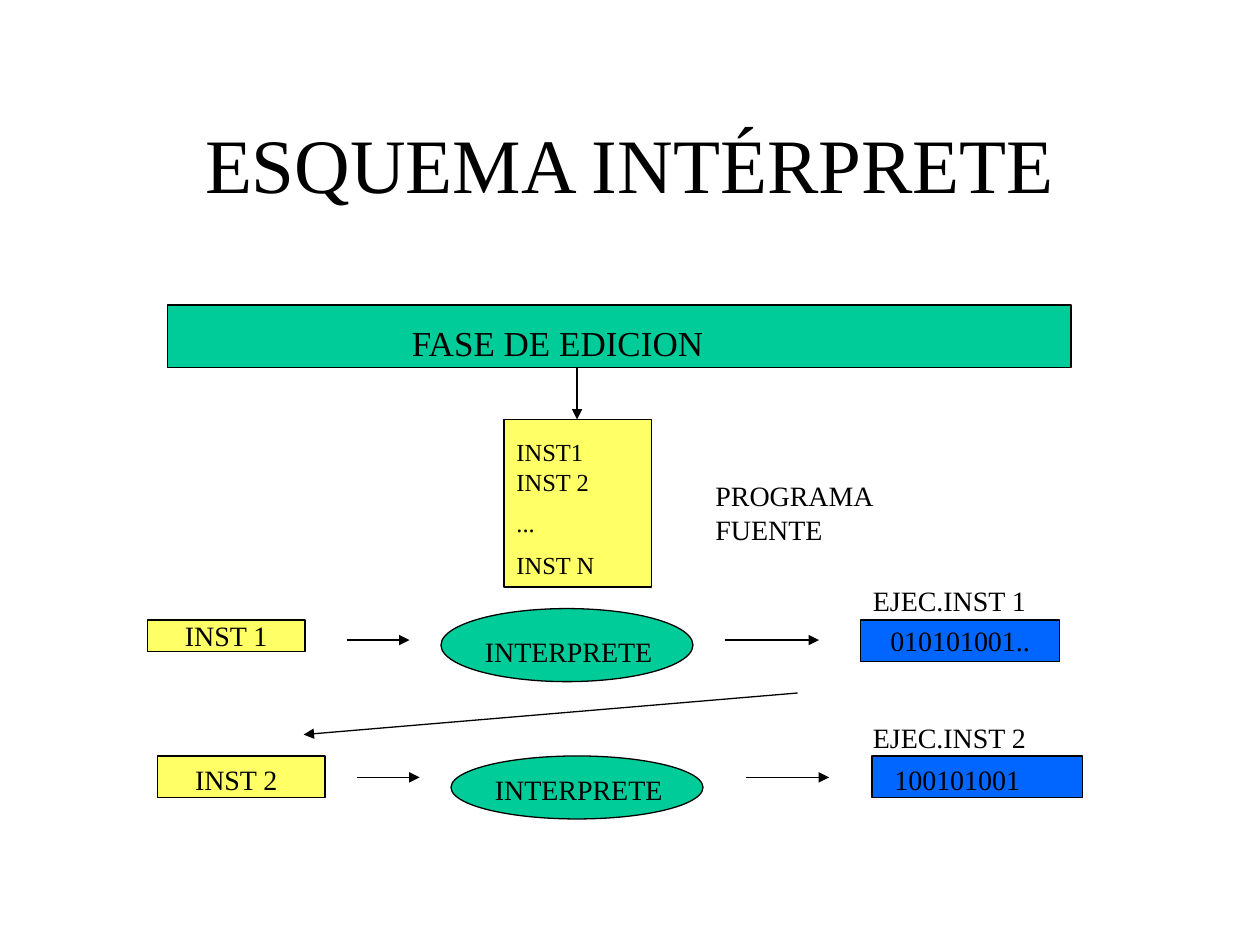
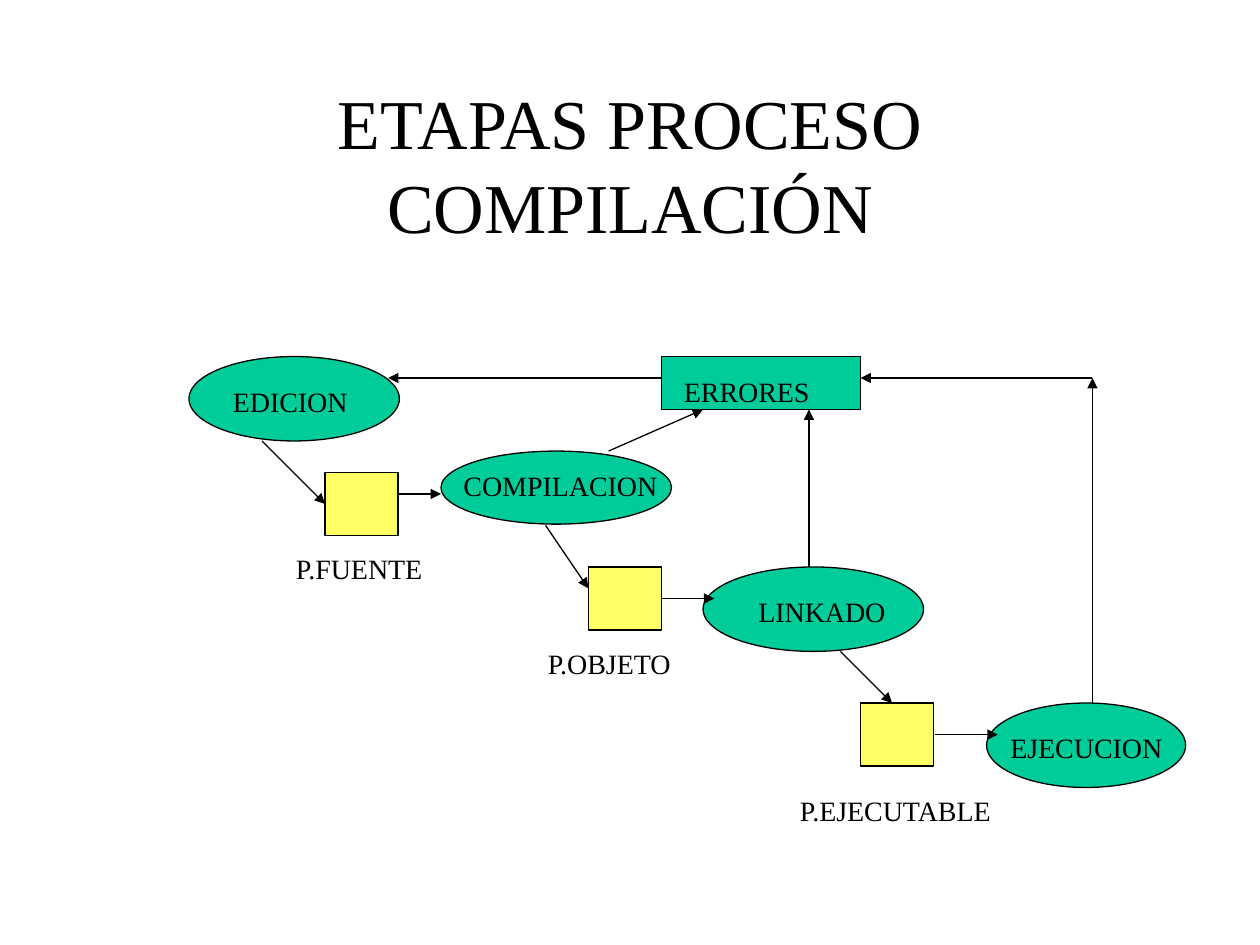
from dataclasses import dataclass

from lxml.etree import SubElement
from pptx import Presentation
from pptx.dml.color import RGBColor
from pptx.enum.shapes import MSO_CONNECTOR as Connector, MSO_SHAPE as Outline
from pptx.enum.text import MSO_ANCHOR as Anchor, MSO_AUTO_SIZE as AutoSize, PP_ALIGN as Align
from pptx.oxml.ns import qn
from pptx.slide import Slide
from pptx.text.text import TextFrame
from pptx.util import Inches, Pt

COLORS = {
    "paper": "FFFFFF",
    "ink": "000000",
    "process": "00CC99",
    "program": "FFFF66",
    "binary": "0066FF",
}
FONT = "Times New Roman"
LINE_WIDTH = Pt(0.75)
PROGRAM_SIZE = (0.58, 0.5)


@dataclass(frozen=True)
class Block:
    left: float
    top: float
    width: float
    height: float
    fill: str
    outline: Outline = Outline.RECTANGLE
    text: str = ""


@dataclass(frozen=True)
class Label:
    text: str
    left: float
    top: float
    width: float
    height: float = 0.37
    size: int = 16
    align: Align = Align.LEFT


@dataclass(frozen=True)
class Arrow:
    start: tuple[float, float]
    end: tuple[float, float]


def color(name: str) -> RGBColor:
    return RGBColor.from_string(COLORS[name])


def write(frame: TextFrame, text: str, size: int, align: Align, gap: int = 0) -> None:
    frame.word_wrap = True
    frame.auto_size = AutoSize.NONE
    for index, line in enumerate(text.split("\n")):
        paragraph = frame.add_paragraph() if index else frame.paragraphs[0]
        paragraph.alignment = align
        paragraph.space_before = Pt(gap if index else 0)
        run = paragraph.add_run()
        run.text = line
        run.font.name = FONT
        run.font.size = Pt(size)
        run.font.color.rgb = color("ink")


def process(left: float, top: float, width: float, height: float) -> Block:
    return Block(left, top, width, height, "process", Outline.OVAL)


def program(left: float, top: float) -> Block:
    return Block(left, top, *PROGRAM_SIZE, "program")


def draw_block(slide: Slide, block: Block) -> None:
    shape = slide.shapes.add_shape(
        block.outline,
        Inches(block.left), Inches(block.top), Inches(block.width), Inches(block.height),
    )
    shape.shadow.inherit = False
    shape.fill.solid()
    shape.fill.fore_color.rgb = color(block.fill)
    shape.line.color.rgb = color("ink")
    shape.line.width = LINE_WIDTH
    if block.text:
        shape.text_frame.vertical_anchor = Anchor.MIDDLE
        write(shape.text_frame, block.text, 16, Align.CENTER)


def draw_label(slide: Slide, label: Label) -> None:
    box = slide.shapes.add_textbox(
        Inches(label.left), Inches(label.top), Inches(label.width), Inches(label.height)
    )
    write(box.text_frame, label.text, label.size, label.align, gap=7)


def draw_arrow(slide: Slide, arrow: Arrow) -> None:
    connector = slide.shapes.add_connector(
        Connector.STRAIGHT, *(Inches(value) for value in arrow.start + arrow.end)
    )
    connector.line.color.rgb = color("ink")
    connector.line.width = LINE_WIDTH
    SubElement(connector.line._get_or_add_ln(), qn("a:tailEnd"), type="triangle")
    SubElement(connector._element.spPr, qn("a:effectLst"))


def add_diagram(
    deck: Presentation,
    title: str,
    title_size: int,
    blocks: list[Block],
    arrows: list[Arrow],
    labels: list[Label],
) -> None:
    slide = deck.slides.add_slide(deck.slide_layouts[5])
    slide.background.fill.solid()
    slide.background.fill.fore_color.rgb = color("paper")
    heading = slide.shapes.title
    heading.left, heading.top = Inches(0.75), Inches(0.67)
    heading.width, heading.height = Inches(8.5), Inches(1.25)
    heading.text_frame.vertical_anchor = Anchor.MIDDLE
    write(heading.text_frame, title, title_size, Align.CENTER)
    for block in blocks:
        draw_block(slide, block)
    for arrow in arrows:
        draw_arrow(slide, arrow)
    for label in labels:
        draw_label(slide, label)


def add_interpreter(deck: Presentation) -> None:
    blocks = [
        Block(1.33, 2.42, 7.17, 0.5, "process"),
        Block(4, 3.33, 1.17, 1.33, "program"),
        Block(1.17, 4.92, 1.25, 0.25, "program", text="INST 1"),
        process(3.5, 4.83, 2, 0.58),
        Block(6.83, 4.92, 1.58, 0.33, "binary", text="010101001.."),
        Block(1.25, 6, 1.33, 0.33, "program"),
        process(3.58, 6, 2, 0.5),
        Block(6.92, 6, 1.67, 0.33, "binary"),
    ]
    arrows = [
        Arrow((4.58, 2.92), (4.58, 3.33)),
        Arrow((2.75, 5.08), (3.25, 5.08)),
        Arrow((5.75, 5.08), (6.5, 5.08)),
        Arrow((6.33, 5.5), (2.41, 5.83)),
        Arrow((2.83, 6.17), (3.33, 6.17)),
        Arrow((5.92, 6.17), (6.58, 6.17)),
    ]
    labels = [
        Label("FASE DE EDICION", 3.17, 2.5, 3.58, 0.43, size=20),
        Label("INST1 INST 2\n...\nINST N", 4, 3.42, 1.08, 1.26, size=14),
        Label("PROGRAMA FUENTE", 5.58, 3.75, 1.58, 0.64),
        Label("INTERPRETE", 3.75, 4.99, 1.67),
        Label("EJEC.INST 1", 6.83, 4.58, 1.67),
        Label("INST 2", 1.25, 6, 1.25, align=Align.CENTER),
        Label("INTERPRETE", 3.83, 6.08, 1.58),
        Label("100101001", 7, 6, 1.42),
        Label("EJEC.INST 2", 6.83, 5.67, 1.67),
    ]
    add_diagram(deck, "ESQUEMA INTÉRPRETE", 44, blocks, arrows, labels)


def add_compilation(deck: Presentation) -> None:
    blocks = [
        process(1.5, 2.83, 1.67, 0.67),
        process(3.5, 3.58, 1.83, 0.58),
        process(5.58, 4.5, 1.75, 0.67),
        process(7.83, 5.58, 1.58, 0.67),
        program(2.58, 3.75),
        program(4.67, 4.5),
        program(6.83, 5.58),
        Block(5.25, 2.83, 1.58, 0.42, "process"),
    ]
    arrows = [
        Arrow((2.08, 3.5), (2.58, 4)),
        Arrow((3.17, 3.92), (3.5, 3.92)),
        Arrow((4.33, 4.17), (4.67, 4.67)),
        Arrow((5.25, 4.75), (5.67, 4.75)),
        Arrow((6.67, 5.17), (7.08, 5.58)),
        Arrow((7.42, 5.83), (7.92, 5.83)),
        Arrow((8.67, 5.58), (8.67, 3)),
        Arrow((8.67, 3), (6.83, 3)),
        Arrow((5.25, 3), (3.08, 3)),
        Arrow((4.83, 3.58), (5.58, 3.25)),
        Arrow((6.42, 4.5), (6.42, 3.25)),
    ]
    labels = [
        Label("EDICION", 1.75, 3, 1.33),
        Label("COMPILACION", 3.58, 3.67, 1.92),
        Label("LINKADO", 5.92, 4.67, 1.33),
        Label("EJECUCION", 7.92, 5.75, 1.75),
        Label("ERRORES", 5.33, 2.92, 1.5),
        Label("P.FUENTE", 2.25, 4.33, 1.25),
        Label("P.OBJETO", 4.25, 5.08, 1.33),
        Label("P.EJECUTABLE", 6.25, 6.25, 1.92),
    ]
    add_diagram(deck, "ETAPAS PROCESO COMPILACIÓN", 40, blocks, arrows, labels)


def main() -> None:
    deck = Presentation()
    deck.slide_width, deck.slide_height = Inches(10), Inches(7.5)
    add_interpreter(deck)
    add_compilation(deck)
    deck.save("out.pptx")


if __name__ == "__main__":
    main()
